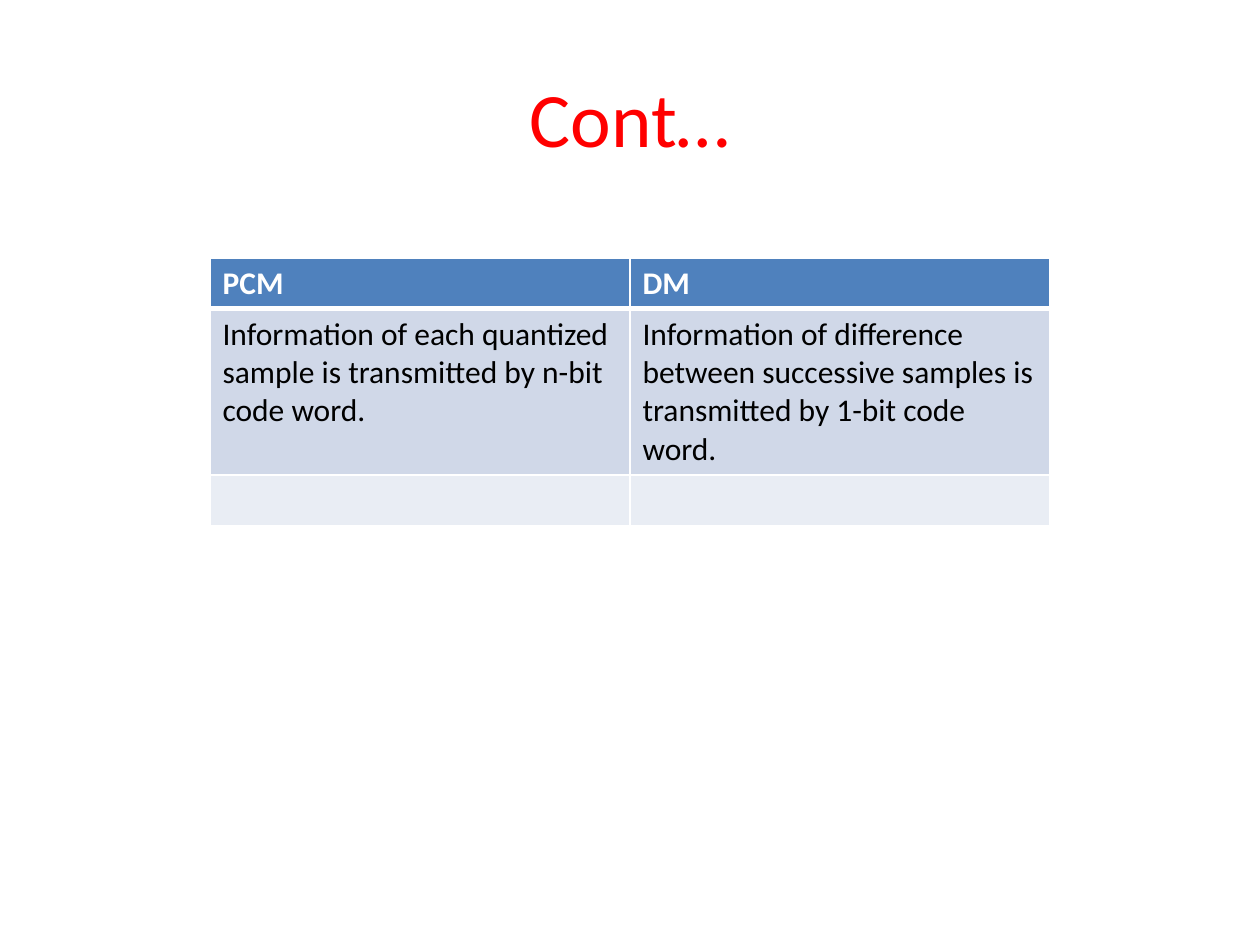
from dataclasses import dataclass

from lxml import etree
from pptx import Presentation
from pptx import util as u
from pptx.dml.color import RGBColor
from pptx.enum import text
from pptx.oxml.ns import qn


@dataclass(frozen=True)
class Theme:
    font: str = "Calibri"
    title_size: int = 44
    cell_size: int = 18
    title: str = "FF0000"
    header_text: str = "FFFFFF"
    body_text: str = "000000"
    border: str = "FFFFFF"
    row_fills: tuple = ("4F81BD", "D0D8E8", "E9EDF4")


theme = Theme()


def add_run(paragraph, words, size, color, bold=False):
    run = paragraph.add_run()
    run.text = words
    run.font.name = theme.font
    run.font.size = u.Pt(size)
    run.font.bold = bold
    run.font.color.rgb = RGBColor.from_string(color)


def add_border(cell, side, points):
    """Draw one cell edge; side is L, R, T or B, added before the cell's fill."""
    line = etree.SubElement(cell._tc.get_or_add_tcPr(), qn(f"a:ln{side}"), w=str(u.Pt(points)))
    fill = etree.SubElement(line, qn("a:solidFill"))
    etree.SubElement(fill, qn("a:srgbClr"), val=theme.border)


presentation = Presentation()
presentation.slide_width, presentation.slide_height = u.Inches(10), u.Inches(7.5)
width, height = presentation.slide_width, presentation.slide_height
slide = presentation.slides.add_slide(presentation.slide_layouts[6])

# Title
title = slide.shapes.add_textbox(
    int(width * 0.05), int(height * 0.04), int(width * 0.9), int(height / 6))
title.text_frame.word_wrap = True
title.text_frame.vertical_anchor = text.MSO_ANCHOR.MIDDLE
paragraph = title.text_frame.paragraphs[0]
paragraph.alignment = text.PP_ALIGN.CENTER
add_run(paragraph, "Cont…", theme.title_size, theme.title)

# Comparison table: two columns, each a third of the slide wide
rows = [
    ("PCM", "DM"),
    ("Information of each quantized sample is transmitted by n-bit code word.",
     "Information of difference between successive samples is transmitted by 1-bit code word."),
    ("", ""),
]
row_heights = [u.Inches(inches) for inches in (0.4, 1.32, 0.4)]
table = slide.shapes.add_table(
    len(rows), 2, int(width / 6), u.Inches(2.05), int(width * 2 / 3), sum(row_heights)).table

for row_index, row in enumerate(rows):
    table.rows[row_index].height = row_heights[row_index]
    is_header = row_index == 0
    for column_index, words in enumerate(row):
        cell = table.cell(row_index, column_index)
        top = 3 if row_index == 1 else 1
        bottom = 3 if is_header else 1
        for side, points in (("L", 1), ("R", 1), ("T", top), ("B", bottom)):
            add_border(cell, side, points)
        cell.fill.solid()
        cell.fill.fore_color.rgb = RGBColor.from_string(theme.row_fills[row_index])
        if words:
            color = theme.header_text if is_header else theme.body_text
            add_run(cell.text_frame.paragraphs[0], words, theme.cell_size, color, is_header)

presentation.save("out.pptx")
